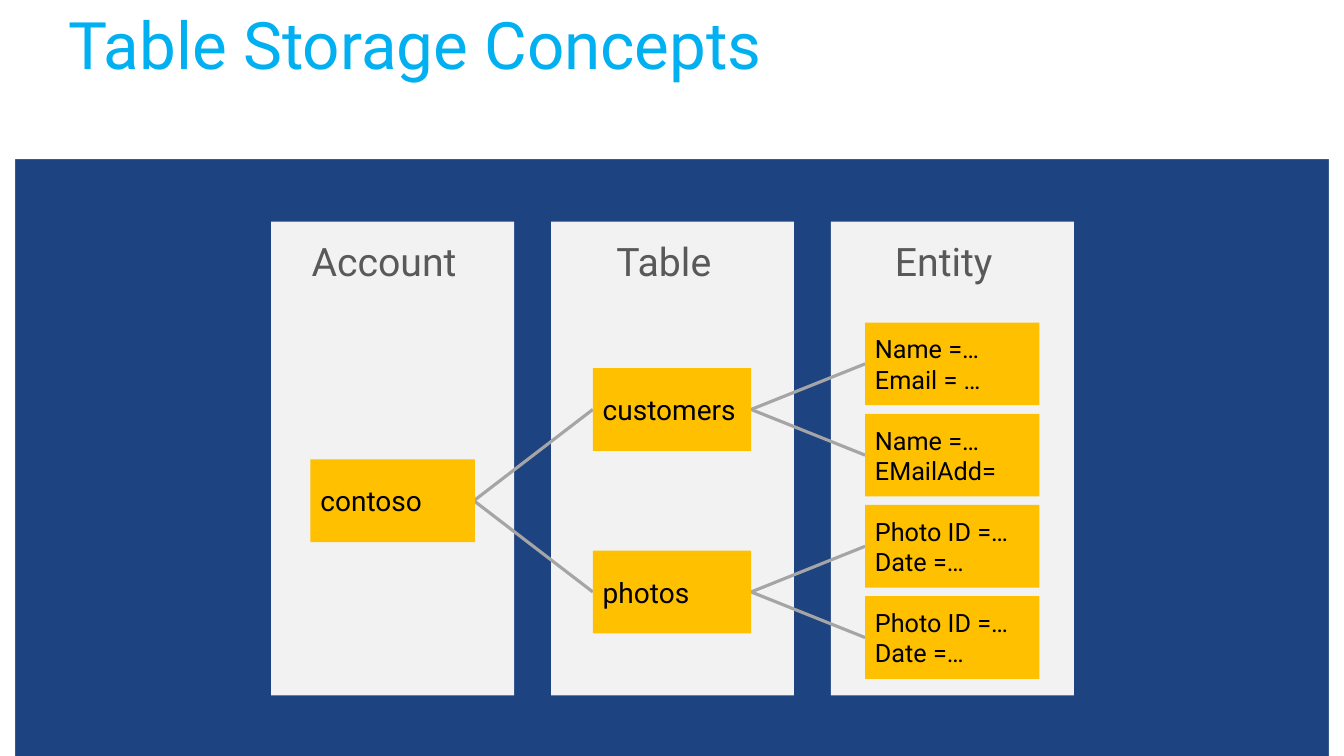
import pptx
import pptx.util
import pptx.dml.color
import pptx.enum.shapes
import pptx.enum.text
import pptx.oxml.ns
import lxml.etree

Inches = pptx.util.Inches
RGBColor = pptx.dml.color.RGBColor
PP_ALIGN = pptx.enum.text.PP_ALIGN
MSO_ANCHOR = pptx.enum.text.MSO_ANCHOR

NAVY = RGBColor(0x1D, 0x43, 0x80)
WHITE = RGBColor(0xFF, 0xFF, 0xFF)
SKY = RGBColor(0x00, 0xB0, 0xF0)
PALE = RGBColor(0xF2, 0xF2, 0xF2)
SLATE = RGBColor(0x59, 0x59, 0x59)
SILVER = RGBColor(0xA5, 0xA5, 0xA5)
AMBER = RGBColor(0xFF, 0xC0, 0x00)
BLACK = RGBColor(0x00, 0x00, 0x00)

deck = pptx.Presentation()
deck.slide_width = Inches(13.33)
deck.slide_height = Inches(7.5)
slide = deck.slides.add_slide(deck.slide_layouts[6])
slide.background.fill.solid()
slide.background.fill.fore_color.rgb = NAVY


def add_block(left, top, width, height, color):
    block = slide.shapes.add_shape(
        pptx.enum.shapes.MSO_SHAPE.RECTANGLE,
        Inches(left), Inches(top), Inches(width), Inches(height))
    block.shadow.inherit = False
    block.fill.solid()
    block.fill.fore_color.rgb = color
    block.line.fill.background()
    return block


def write(frame, lines, size, color, align=PP_ALIGN.LEFT, spacing=1.0):
    frame.word_wrap = True
    for index, line in enumerate(lines):
        paragraph = frame.paragraphs[0] if index == 0 else frame.add_paragraph()
        paragraph.alignment = align
        paragraph.line_spacing = spacing
        run = paragraph.add_run()
        run.text = line
        run.font.name = "Roboto"
        run.font.size = pptx.util.Pt(size)
        run.font.color.rgb = color


for margin in [(0, 0, 0.15, 7.5), (13.18, 0, 0.15, 7.5), (0, 0, 13.33, 1.58)]:
    add_block(*margin, WHITE)

title = slide.shapes.add_textbox(Inches(0.3), Inches(0.13), Inches(10.8), Inches(0.7)).text_frame
title.margin_left = Inches(0.38)
title.margin_top = title.margin_bottom = 0
write(title, ["Table Storage Concepts"], 46.8, SKY, spacing=0.9)

for column, heading in enumerate(["Account", "Table", "Entity"]):
    left = 2.69 + column * 2.775
    add_block(left, 2.2, 2.41, 4.7, PALE)
    label = slide.shapes.add_textbox(Inches(left), Inches(2.2), Inches(2.41), Inches(1.57)).text_frame
    label.margin_left = Inches(0.1)
    label.margin_top = label.margin_right = label.margin_bottom = Inches(0.27)
    write(label, [heading], 28, SLATE, PP_ALIGN.CENTER, 0.9)

NODE_HEIGHT = 0.82
entity_rows = [3.61 + row * 0.905 for row in range(4)]
table_rows = [sum(entity_rows[:2]) / 2, sum(entity_rows[2:]) / 2]
account_row = sum(table_rows) / 2

links = [(4.7, account_row, 5.88, row) for row in table_rows]
links += [(7.45, table_rows[index // 2], 8.58, row) for index, row in enumerate(entity_rows)]
for link in links:
    branch = slide.shapes.add_connector(
        pptx.enum.shapes.MSO_CONNECTOR.STRAIGHT, *[Inches(value) for value in link])
    branch.line.color.rgb = SILVER
    branch.line.width = pptx.util.Pt(2.25)
    lxml.etree.SubElement(branch._element.spPr, pptx.oxml.ns.qn("a:effectLst"))

entities = [
    ["Name =…", "Email = …"],
    ["Name =…", "EMailAdd="],
    ["Photo ID =…", "Date =…"],
    ["Photo ID =…", "Date =…"],
]
nodes = [(3.08, account_row, 1.63, ["contoso"], 20)]
nodes += [(5.88, row, 1.57, [name], 20) for row, name in zip(table_rows, ["customers", "photos"])]
nodes += [(8.58, row, 1.73, lines, 18) for row, lines in zip(entity_rows, entities)]
for left, middle, width, lines, size in nodes:
    node = add_block(left, middle - NODE_HEIGHT / 2, width, NODE_HEIGHT, AMBER)
    node.text_frame.vertical_anchor = MSO_ANCHOR.MIDDLE
    write(node.text_frame, lines, size, BLACK)

deck.save("out.pptx")
